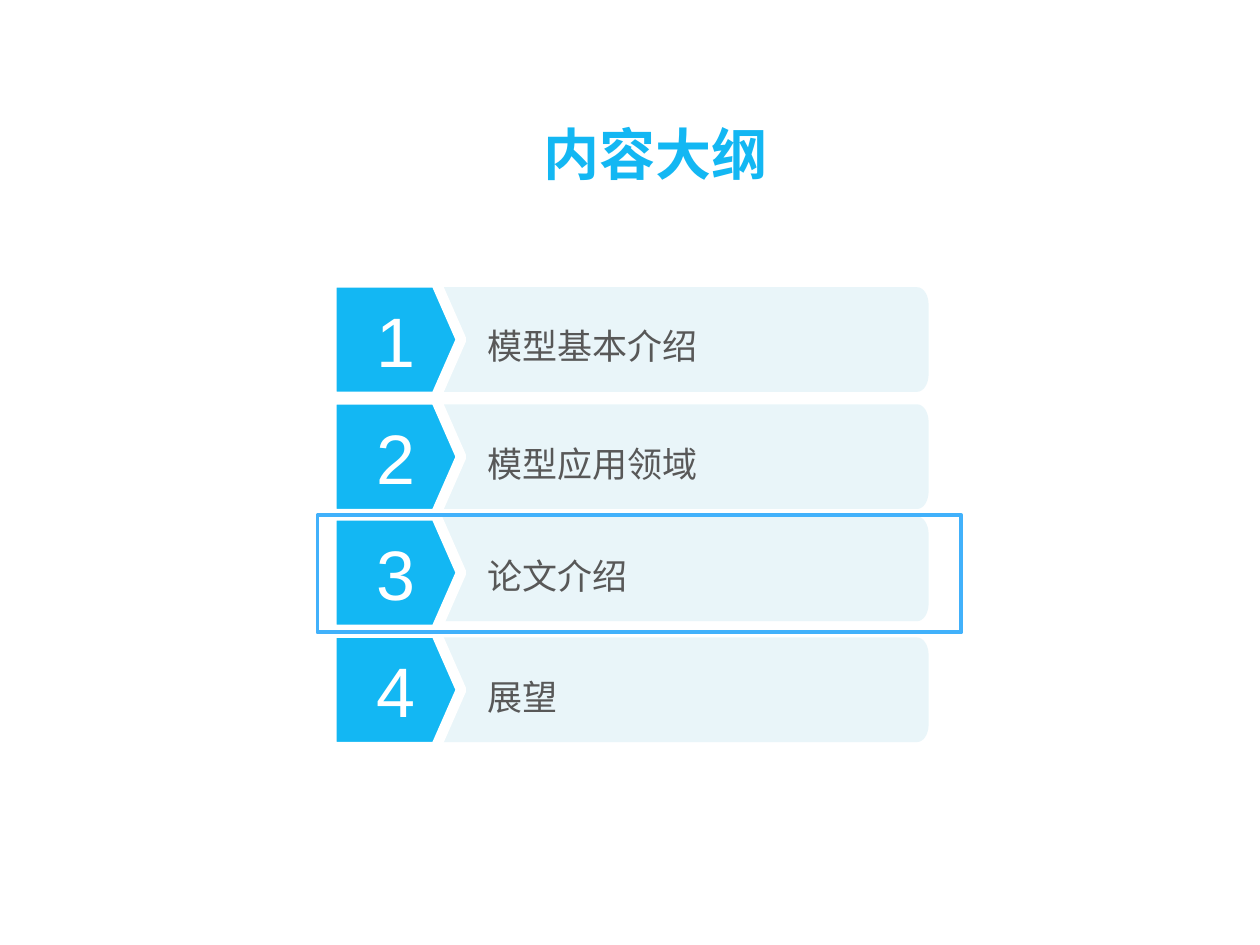
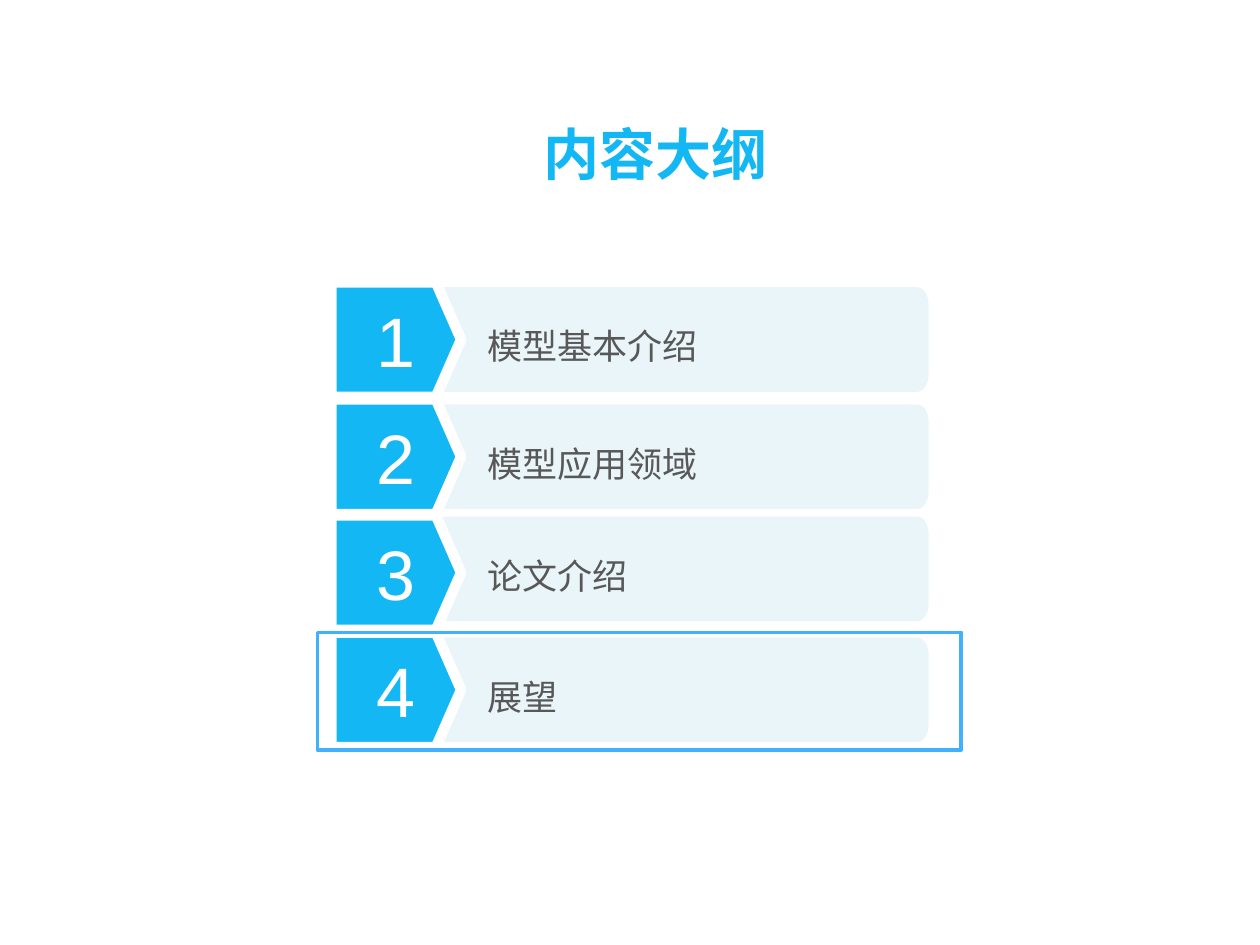
import dataclasses
import math

import pptx
import pptx.dml.color
import pptx.enum.shapes
import pptx.enum.text
import pptx.oxml.ns
import pptx.oxml.xmlchemy
import pptx.presentation
import pptx.shapes.autoshape
import pptx.slide
import pptx.text.text
import pptx.util
from lxml import etree

PX = 9144
COLORS = {"accent": "13B7F3", "bar": "E7F5F9", "text": "585858", "white": "FFFFFF", "frame": "41B1FB"}
CJK = "Noto Sans CJK SC"
ANCHOR = pptx.enum.text.MSO_ANCHOR
ALIGN = pptx.enum.text.PP_ALIGN

ARROW_LEFT, ARROW_SHOULDER, ARROW_TIP, ARROW_HEIGHT = 263, 346, 366, 91
BAR_LEFT, BAR_RIGHT, BAR_HEIGHT = 348, 737, 83
CORNER_X, CORNER_Y, CORNER_STEPS = 9, 14, 8
FIRST_TOP, LAST_TOP = 224, 502


@dataclasses.dataclass(frozen=True)
class Item:
    label: str
    bar_offset: int = 4


ITEMS = [Item("模型基本介绍"), Item("模型应用领域"), Item("论文介绍", 1), Item("展望")]
HIGHLIGHTS = [2, 3]


def px(n: float) -> pptx.util.Emu:
    return pptx.util.Emu(round(n * PX))


def rgb(name: str) -> pptx.dml.color.RGBColor:
    return pptx.dml.color.RGBColor.from_string(COLORS[name])


def row_top(index: int) -> int:
    return FIRST_TOP + round((LAST_TOP - FIRST_TOP) * index / (len(ITEMS) - 1))


def write(tf: pptx.text.text.TextFrame, text: str, size: int, font: str, color: str,
          align: ALIGN, bold: bool = False) -> pptx.text.text._Paragraph:
    p = tf.paragraphs[0]
    p.text = text
    p.alignment = align
    p.font.size = pptx.util.Pt(size)
    p.font.bold = bold
    p.font.color.rgb = rgb(color)
    p.font.name = font
    qn = pptx.oxml.ns.qn
    etree.SubElement(p._p.pPr.find(qn("a:defRPr")), qn("a:ea")).set("typeface", font)
    return p


def add_outline(s: pptx.slide.Slide, points: list[tuple[float, float]],
                fill: str) -> pptx.shapes.autoshape.Shape:
    start, *rest = [(px(x), px(y)) for x, y in points]
    builder = s.shapes.build_freeform(*start, scale=1.0)
    builder.add_line_segments(rest, close=True)
    sp = builder.convert_to_shape()
    sp.shadow.inherit = False
    sp.fill.solid()
    sp.fill.fore_color.rgb = rgb(fill)
    sp.text_frame.vertical_anchor = ANCHOR.MIDDLE
    return sp


def add_bar(s: pptx.slide.Slide, top: int, label: str) -> None:
    bottom = top + BAR_HEIGHT
    angles = [math.pi / 2 * i / CORNER_STEPS for i in range(CORNER_STEPS + 1)]
    corner = [(BAR_RIGHT - CORNER_X * (1 - math.sin(a)), CORNER_Y * (1 - math.cos(a))) for a in angles]
    upper = [(x, top + dy) for x, dy in corner]
    lower = [(x, bottom - dy) for x, dy in reversed(corner)]
    sp = add_outline(s, [(BAR_LEFT, top), *upper, *lower, (BAR_LEFT, bottom)], "bar")
    sp.line.fill.background()
    qn = pptx.oxml.ns.qn
    color = sp._element.spPr.find(qn("a:solidFill")).find(qn("a:srgbClr"))
    etree.SubElement(color, qn("a:alpha")).set("val", "90000")
    tf = sp.text_frame
    tf.margin_left = px(39)
    tf.margin_top = tf.margin_right = tf.margin_bottom = 0
    write(tf, label, 20, CJK, "text", ALIGN.LEFT).line_spacing = 1.3


def add_arrow(s: pptx.slide.Slide, top: int, number: int) -> None:
    bottom = top + ARROW_HEIGHT
    points = [(ARROW_LEFT, top), (ARROW_SHOULDER, top), (ARROW_TIP, (top + bottom) / 2),
              (ARROW_SHOULDER, bottom), (ARROW_LEFT, bottom)]
    sp = add_outline(s, points, "accent")
    sp.line.color.rgb = rgb("white")
    sp.line.width = pptx.util.Pt(6)
    write(sp.text_frame, str(number), 40, "Arial", "white", ALIGN.CENTER)


def add_title(s: pptx.slide.Slide) -> None:
    sp = s.shapes.title
    sp.left, sp.top, sp.width, sp.height = px(410), px(90), px(221), px(64)
    tf = sp.text_frame
    tf.vertical_anchor = ANCHOR.TOP
    tf.auto_size = pptx.enum.text.MSO_AUTO_SIZE.SHAPE_TO_FIT_TEXT
    write(tf, "内容大纲", 32, CJK, "accent", ALIGN.CENTER, bold=True)


def add_frame(s: pptx.slide.Slide, top: int) -> None:
    sp = s.shapes.add_shape(pptx.enum.shapes.MSO_SHAPE.RECTANGLE, px(252), px(top), px(511), px(93))
    sp.shadow.inherit = False
    sp.fill.background()
    sp.line.color.rgb = rgb("frame")
    sp.line.width = pptx.util.Pt(2.25)


def add_outline_slide(prs: pptx.presentation.Presentation, highlight: int) -> None:
    s = prs.slides.add_slide(prs.slide_layouts[5])
    add_title(s)
    for i, item in enumerate(ITEMS):
        add_bar(s, row_top(i) + item.bar_offset, item.label)
        add_arrow(s, row_top(i), i + 1)
    add_frame(s, row_top(highlight))


def main() -> None:
    prs = pptx.Presentation()
    prs.slide_width, prs.slide_height = px(1000), px(750)
    for highlight in HIGHLIGHTS:
        add_outline_slide(prs, highlight)
    prs.save("out.pptx")


if __name__ == "__main__":
    main()
